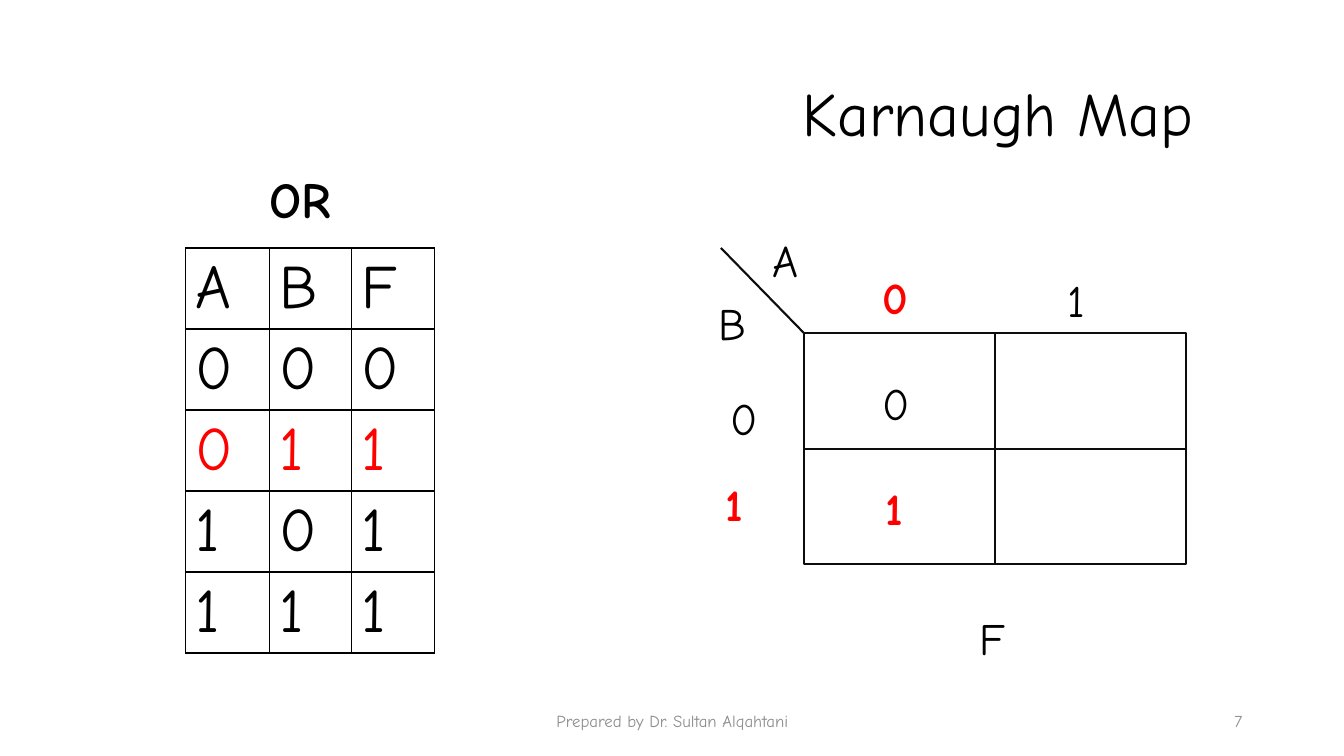
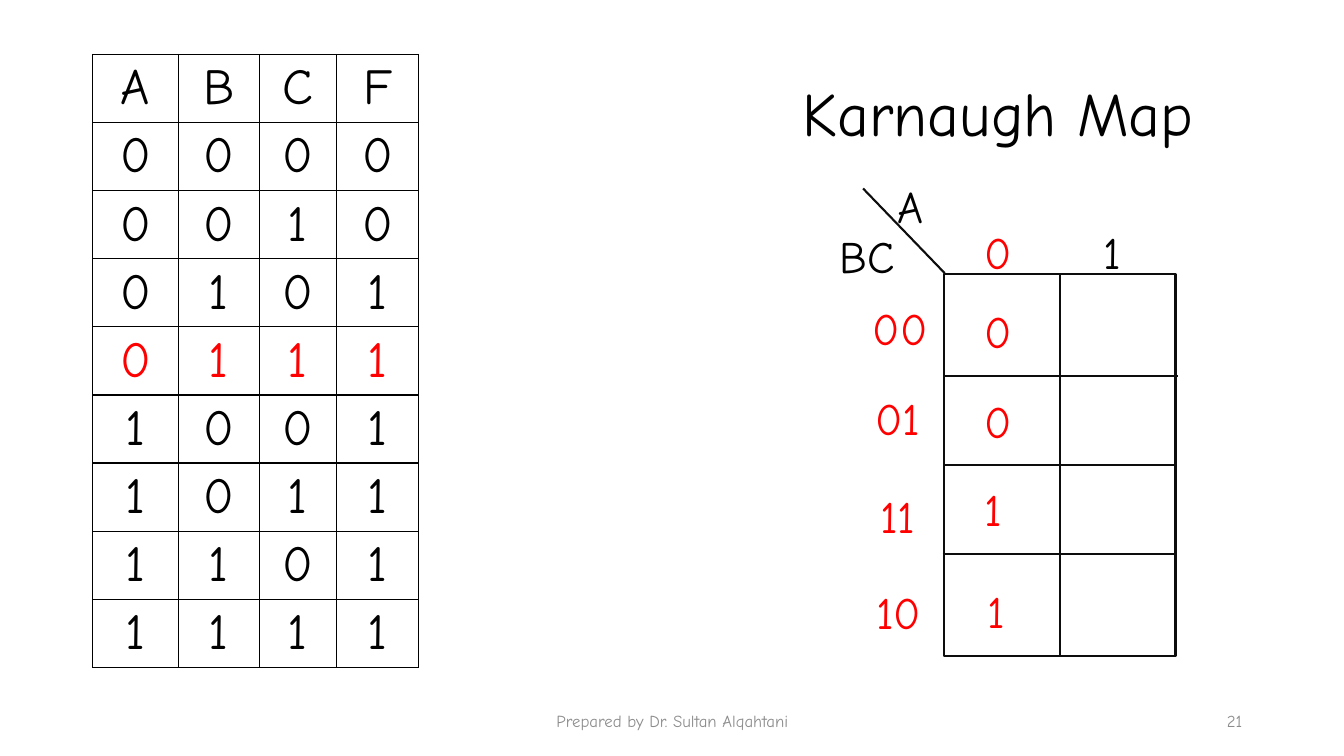
"""Build two Karnaugh map slides, each with a truth table beside its map."""
from lxml import etree
from pptx import Presentation
from pptx.dml.color import RGBColor
from pptx.enum.shapes import MSO_CONNECTOR, MSO_SHAPE
from pptx.enum.text import MSO_ANCHOR, MSO_AUTO_SIZE, PP_ALIGN
from pptx.oxml.ns import qn
from pptx.util import Inches, Pt

LEFT, CENTER, RIGHT = PP_ALIGN.LEFT, PP_ALIGN.CENTER, PP_ALIGN.RIGHT
MIDDLE = MSO_ANCHOR.MIDDLE
FIT_SHAPE, NO_FIT = MSO_AUTO_SIZE.SHAPE_TO_FIT_TEXT, MSO_AUTO_SIZE.NONE
STRAIGHT, RECTANGLE = MSO_CONNECTOR.STRAIGHT, MSO_SHAPE.RECTANGLE

COLORS = {"text": "000000", "mark": "FF0000", "line": "0D0D0D",
          "footer": "8C8C8C", "paper": "FFFFFF"}
FONT = "Comic Neue"
TITLE = "Karnaugh Map"
FOOTER = "Prepared by Dr. Sultan Alqahtani"

SLIDES = [
    {
        "number": "7",
        "table": {"at": (1.84, 2.46), "cols": (0.83, 0.82, 0.82), "row": 0.8,
                  "size": 44, "align": LEFT, "marked": 3,
                  "rows": ("ABF", "000", "011", "101", "111")},
        "map": (7.97, 3.3, 3.79, 2.3),
        "lines": [(7.97, 3.3, 7.15, 2.46)],
        "labels": [
            ("A", 7.56, 2.26, 0.53, 32, "text", False),
            ("B", 7.03, 2.88, 0.48, 32, "text", False),
            ("0", 8.65, 2.63, 0.48, 32, "mark", True),
            ("1", 10.49, 2.66, 0.4, 32, "text", False),
            ("0", 7.15, 3.83, 0.48, 32, "text", False),
            ("1", 7.1, 4.68, 0.48, 32, "mark", True),
            ("F", 9.62, 6.01, 0.47, 32, "text", False),
            ("OR", 2.57, 1.62, 0.92, 36, "text", True),
            ("0", 8.65, 3.68, 0.48, 32, "text", False),
            ("1", 8.68, 4.72, 0.48, 32, "mark", True),
        ],
    },
    {
        "number": "21",
        "table": {"at": (0.92, 0.54), "cols": (0.85, 0.8, 0.77, 0.81),
                  "row": 0.67, "size": 36, "align": CENTER, "marked": 5,
                  "rows": ("ABCF", "0000", "0010", "0101", "0111",
                           "1001", "1011", "1101", "1111")},
        "map": (9.36, 2.72, 2.3, 3.79),
        "lines": [(9.37, 2.71, 8.56, 1.87), (9.37, 3.73, 11.68, 3.73),
                  (9.35, 5.5, 11.66, 5.5)],
        "labels": [
            ("A", 8.8, 1.72, 0.53, 32, "text", False),
            ("BC", 8.23, 2.22, 0.75, 32, "text", False),
            ("0", 9.67, 2.18, 0.48, 32, "mark", False),
            ("1", 10.85, 2.18, 0.4, 32, "text", False),
            ("00", 8.56, 2.93, 0.75, 32, "mark", False),
            ("01", 8.58, 3.83, 0.68, 32, "mark", False),
            ("11", 8.63, 4.8, 0.61, 32, "mark", False),
            ("10", 8.59, 5.75, 0.68, 32, "mark", False),
            ("0", 9.67, 2.96, 0.48, 32, "mark", False),
            ("0", 9.67, 3.86, 0.48, 32, "mark", False),
            ("1", 9.67, 4.73, 0.4, 32, "mark", False),
            ("1", 9.7, 5.74, 0.4, 32, "mark", False),
        ],
    },
]


def write(tf, text, size, color="text", align=LEFT, bold=False):
    p = tf.paragraphs[0]
    p.alignment = align
    r = p.add_run()
    r.text = text
    for name, value in {"name": FONT, "size": Pt(size), "bold": bold}.items():
        setattr(r.font, name, value)
    r.font.color.rgb = RGBColor.from_string(COLORS[color])
    return p


def add_line(s, x1, y1, x2, y2):
    line = s.shapes.add_connector(STRAIGHT, Inches(x1), Inches(y1), Inches(x2), Inches(y2))
    line.line.color.rgb = RGBColor.from_string(COLORS["line"])
    line.line.width = Pt(1.5)
    etree.SubElement(line._element.spPr, qn("a:effectLst"))
    return line


prs = Presentation()
prs.slide_width, prs.slide_height = Inches(13.33), Inches(7.5)

for data in SLIDES:
    s = prs.slides.add_slide(prs.slide_layouts[5])

    title = s.shapes.title
    title.left, title.top, title.width, title.height = map(Inches, (6.67, 0.43, 5.27, 1.45))
    title.text_frame.vertical_anchor = MIDDLE
    title.text_frame.auto_size = NO_FIT
    write(title.text_frame, TITLE, 44, align=RIGHT).line_spacing = 0.9

    truth = data["table"]
    rows, cols = truth["rows"], truth["cols"]
    x, y = truth["at"]
    table = s.shapes.add_table(len(rows), len(cols), Inches(x), Inches(y), Inches(sum(cols)),
                               Inches(truth["row"] * len(rows))).table
    table.first_row = table.horz_banding = False
    for column, width in zip(table.columns, cols):
        column.width = Inches(width)
    for i, values in enumerate(rows, 1):
        table.rows[i - 1].height = Inches(truth["row"])
        color = "mark" if i == truth["marked"] else "text"
        for j, value in enumerate(values):
            cell = table.cell(i - 1, j)
            write(cell.text_frame, value, truth["size"], color, truth["align"])
            tcPr = cell._tc.get_or_add_tcPr()
            for side in ("lnL", "lnR", "lnT", "lnB"):
                border = etree.SubElement(tcPr, qn(f"a:{side}"), w=str(Pt(1)))
                fill = etree.SubElement(border, qn("a:solidFill"))
                etree.SubElement(fill, qn("a:srgbClr"), val=COLORS["text"])
            cell.fill.background()

    x, y, w, h = data["map"]
    grid = s.shapes.add_shape(RECTANGLE, Inches(x), Inches(y), Inches(w), Inches(h))
    grid.shadow.inherit = False
    grid.fill.solid()
    grid.fill.fore_color.rgb = RGBColor.from_string(COLORS["paper"])
    grid.line.color.rgb = RGBColor.from_string(COLORS["line"])
    grid.line.width = Pt(1.5)
    mid_x, mid_y = x + w / 2, y + h / 2
    for start, end, ends in ((0, 2, (mid_x, y, mid_x, y + h)),
                             (1, 3, (x, mid_y, x + w, mid_y))):
        divider = add_line(s, *ends)
        divider.begin_connect(grid, start)
        divider.end_connect(grid, end)
    for ends in data["lines"]:
        add_line(s, *ends)

    for text, x, y, w, size, color, bold in data["labels"]:
        height = 0.64 if size == 32 else 0.71
        tf = s.shapes.add_textbox(Inches(x), Inches(y), Inches(w), Inches(height)).text_frame
        tf.word_wrap = False
        tf.auto_size = FIT_SHAPE
        write(tf, text, size, color, bold=bold)

    for text, x, w, align in ((FOOTER, 4.42, 4.5, CENTER), (data["number"], 9.42, 3, RIGHT)):
        tf = s.shapes.add_textbox(Inches(x), Inches(6.95), Inches(w), Inches(0.4)).text_frame
        tf.word_wrap = True
        tf.vertical_anchor = MIDDLE
        write(tf, text, 12, "footer", align)

prs.save("out.pptx")
